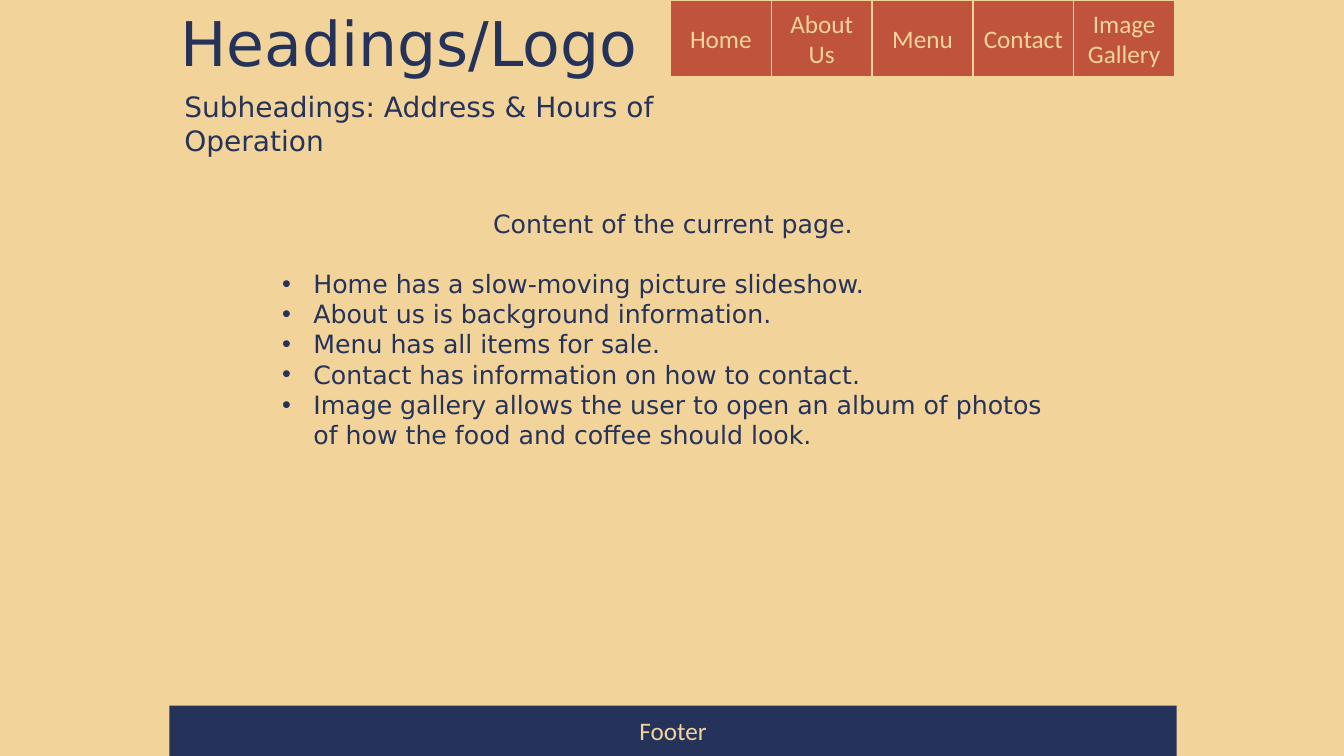
from dataclasses import dataclass

from lxml import etree
from pptx import Presentation
from pptx import util as u
from pptx.dml.color import RGBColor
from pptx.enum import shapes, text
from pptx.oxml import ns


@dataclass(frozen=True)
class Theme:
    sand: RGBColor = RGBColor.from_string("F2D49B")
    rust: RGBColor = RGBColor.from_string("BF533B")
    navy: RGBColor = RGBColor.from_string("253259")
    bar_font: str = "Calibri"
    page_font: str = "DejaVu Sans"
    title: int = 44
    subhead: int = 20
    body: int = 18
    gap: int = 21
    edge: int = 1


@dataclass(frozen=True)
class Box:
    left: float
    top: float
    width: float
    height: float

    def inches(self) -> list[u.Inches]:
        return [u.Inches(n) for n in (self.left, self.top, self.width, self.height)]


@dataclass(frozen=True)
class Panel:
    label: str
    box: Box
    fill: RGBColor
    edged: bool = False


@dataclass(frozen=True)
class Note:
    lines: tuple[str, ...]
    box: Box
    size: int


THEME = Theme()
CENTER = text.PP_ALIGN.CENTER
TABS = ("Home", "About Us", "Menu", "Contact", "Image Gallery")
TAB_LEFT, TAB_STEP, TAB_HEIGHT = 6.65, 1, 0.76
INDENT = 0.31

POINTS = (
    "Home has a slow-moving picture slideshow.",
    "About us is background information.",
    "Menu has all items for sale.",
    "Contact has information on how to contact.",
    "Image gallery allows the user to open an album of photos "
    "of how the food and coffee should look.",
)


def style(frame, font: str, size: int, color: RGBColor) -> None:
    for para in frame.paragraphs:
        for run in para.runs:
            run.font.name = font
            run.font.size = u.Pt(size)
            run.font.color.rgb = color


def add_panel(slide, panel: Panel) -> None:
    shape = slide.shapes.add_shape(shapes.MSO_SHAPE.RECTANGLE, *panel.box.inches())
    shape.shadow.inherit = False
    shape.fill.solid()
    shape.fill.fore_color.rgb = panel.fill
    if panel.edged:
        shape.line.color.rgb = THEME.sand
        shape.line.width = u.Pt(THEME.edge)
    else:
        shape.line.fill.background()
    frame = shape.text_frame
    frame.text = panel.label
    frame.word_wrap = True
    frame.vertical_anchor = text.MSO_ANCHOR.MIDDLE
    frame.paragraphs[0].alignment = CENTER
    style(frame, THEME.bar_font, THEME.body, THEME.sand)


def add_note(slide, note: Note):
    frame = slide.shapes.add_textbox(*note.box.inches()).text_frame
    frame.text = "\n".join(note.lines)
    frame.word_wrap = True
    style(frame, THEME.page_font, note.size, THEME.navy)
    return frame


def add_bullet(para) -> None:
    props = para._p.get_or_add_pPr()
    props.set("marL", str(u.Inches(INDENT)))
    props.set("indent", str(u.Inches(-INDENT)))
    etree.SubElement(props, ns.qn("a:buFont"), typeface="Arial")
    etree.SubElement(props, ns.qn("a:buChar"), char="•")


def main() -> None:
    deck = Presentation()
    deck.slide_width, deck.slide_height = u.Inches(13.33), u.Inches(7.5)
    slide = deck.slides.add_slide(deck.slide_layouts[6])
    slide.background.fill.solid()
    slide.background.fill.fore_color.rgb = THEME.sand

    for i, label in enumerate(TABS):
        box = Box(TAB_LEFT + i * TAB_STEP, 0, TAB_STEP, TAB_HEIGHT)
        add_panel(slide, Panel(label, box, THEME.rust, edged=True))
    add_panel(slide, Panel("Footer", Box(1.68, 7, 9.99, 0.5), THEME.navy))

    add_note(slide, Note(("Headings/Logo",), Box(1.69, 0, 5.46, 0.84), THEME.title))
    add_note(slide, Note(("Subheadings: Address & Hours of Operation",),
                         Box(1.73, 0.84, 5.9, 0.77), THEME.subhead))
    body = add_note(slide, Note(("Content of the current page.", *POINTS),
                                Box(2.7, 2.02, 7.95, 2.83), THEME.body))
    intro, *points = body.paragraphs
    intro.alignment = CENTER
    intro.space_after = u.Pt(THEME.gap)
    for para in points:
        add_bullet(para)

    deck.save("out.pptx")


main()
